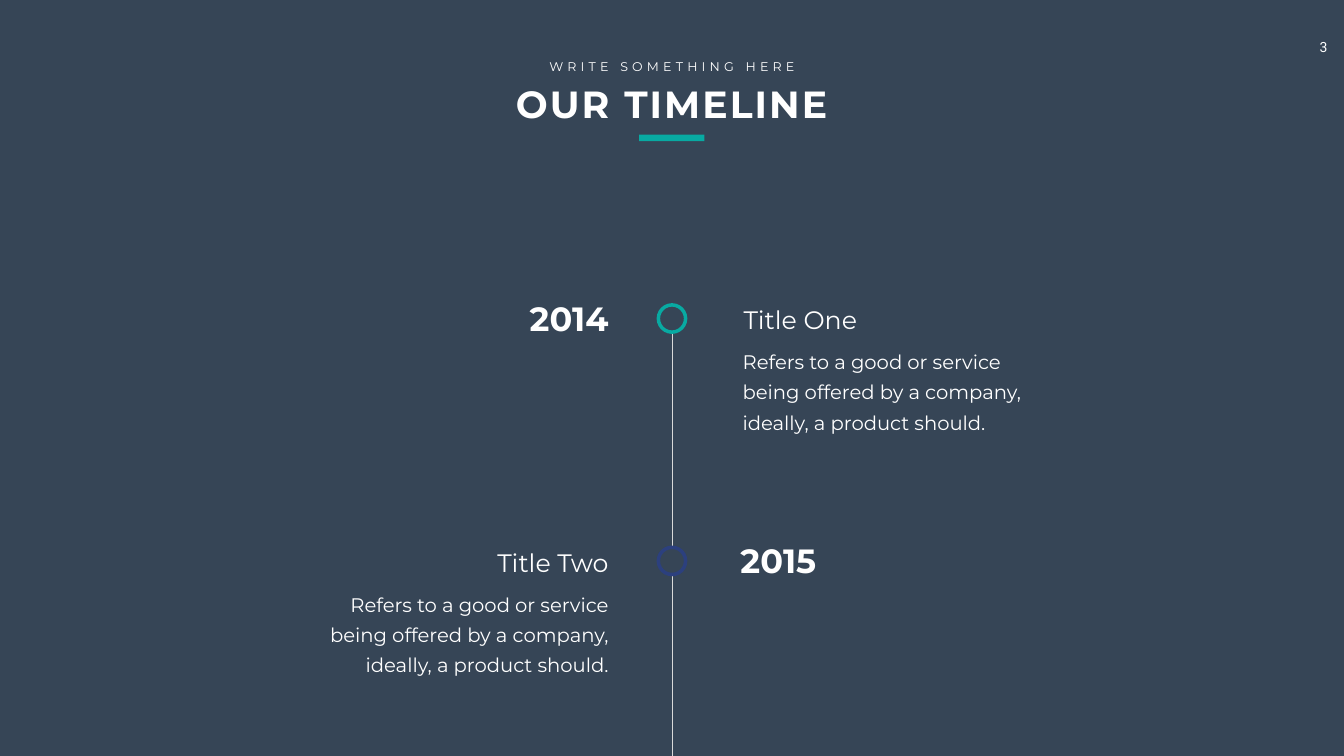
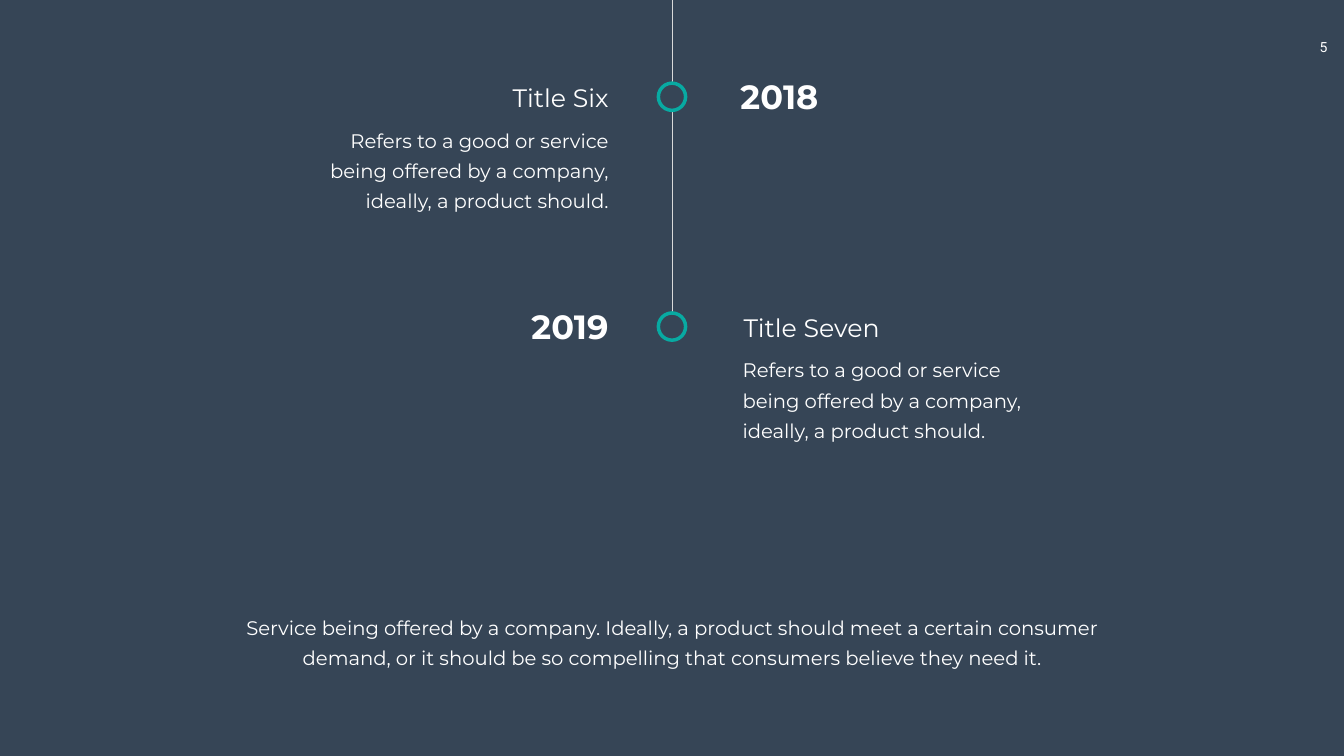
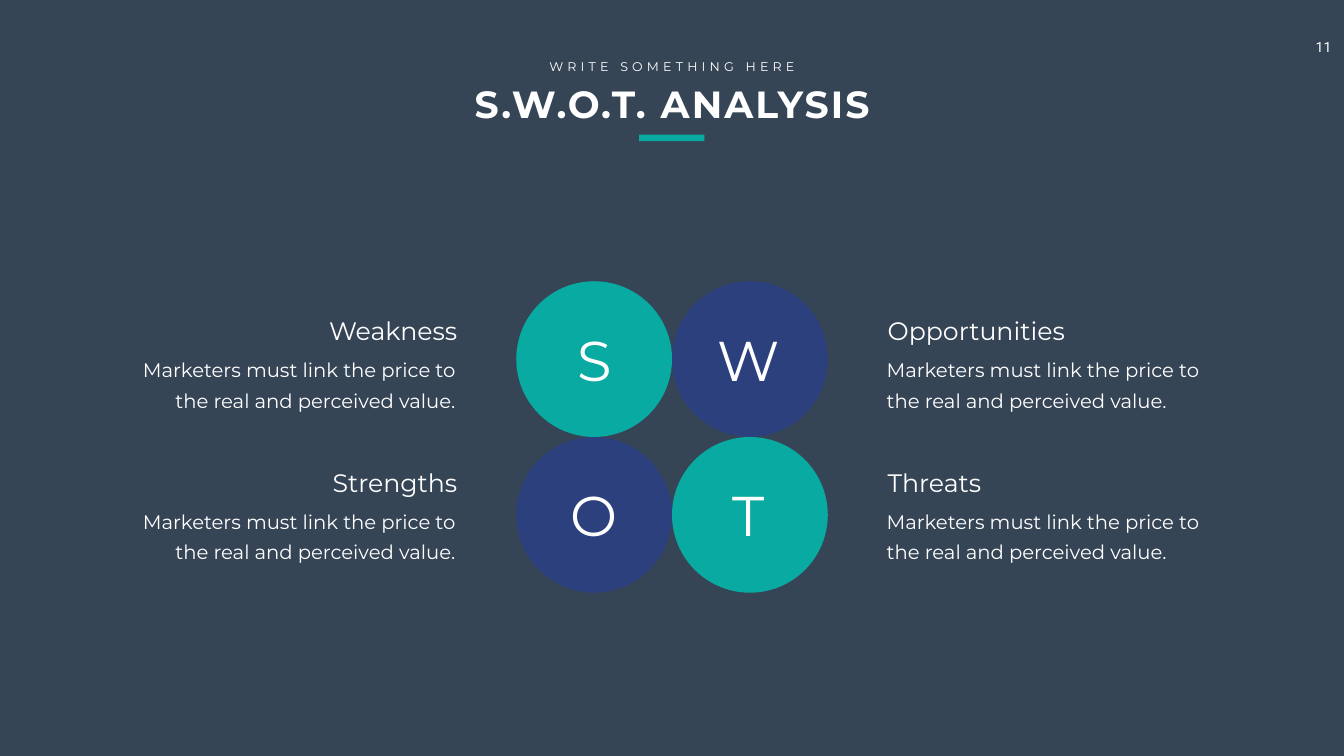
from lxml import etree
from pptx import Presentation
from pptx.dml.color import RGBColor
from pptx.enum.shapes import MSO_CONNECTOR, MSO_SHAPE
from pptx.enum.text import MSO_ANCHOR, MSO_AUTO_SIZE, PP_ALIGN
from pptx.oxml.ns import qn
from pptx.util import Pt

SCALE = 9144  # EMU per px, 100 px to the inch
SLATE = RGBColor(0x36, 0x45, 0x56)
WHITE = RGBColor(0xFF, 0xFF, 0xFF)
TEAL = RGBColor(0x08, 0xAA, 0xA2)
NAVY = RGBColor(0x2C, 0x40, 0x7E)
PALE_GREY = RGBColor(0xD9, 0xD9, 0xD9)
LEFT, CENTER, RIGHT = PP_ALIGN.LEFT, PP_ALIGN.CENTER, PP_ALIGN.RIGHT
TOP = MSO_ANCHOR.TOP
GROW = MSO_AUTO_SIZE.SHAPE_TO_FIT_TEXT
OVAL, RECTANGLE = MSO_SHAPE.OVAL, MSO_SHAPE.RECTANGLE
STRAIGHT = MSO_CONNECTOR.STRAIGHT


def px(*lengths):
    return [length * SCALE for length in lengths]


def write(slide, text, place, size, align=LEFT, bold=False, font="Montserrat",
          tracking=0, leading=None, inset=(10, 5), wrap=True, holder=None):
    """Write one paragraph at place, in a new text box or in a placeholder."""
    box = holder or slide.shapes.add_textbox(*px(*place))
    box.left, box.top, box.width, box.height = px(*place)
    frame = box.text_frame
    frame.word_wrap = wrap
    frame.auto_size = GROW
    frame.vertical_anchor = TOP
    frame.margin_left = frame.margin_right = inset[0] * SCALE
    frame.margin_top = frame.margin_bottom = inset[1] * SCALE
    paragraph = frame.paragraphs[0]
    paragraph.alignment = align
    if leading:
        paragraph.line_spacing = Pt(leading)
    run = paragraph.add_run()
    run.text = text
    run.font.name = font
    run.font.size = Pt(size)
    run.font.bold = bold
    run.font.color.rgb = WHITE
    if tracking:
        run._r.get_or_add_rPr().set("spc", str(tracking * 100))


deck = Presentation()
deck.slide_width, deck.slide_height = px(2666, 1500)
background = deck.slide_master.background.fill
background.solid()
background.fore_color.rgb = SLATE
title_only, blank = deck.slide_layouts[5], deck.slide_layouts[6]

# Slides with page number, title and overline
slides = []
marks = []  # slide, outline, place, fill, line colour
for number, heading, heading_left, heading_width in [
    ("3", "OUR TIMELINE", 961, 743),
    ("5", None, 0, 0),
    ("11", "S.W.O.T. ANALYSIS", 852, 963),
]:
    slide = deck.slides.add_slide(title_only if heading else blank)
    slides.append(slide)
    write(slide, number, (2580, 67, 91, 54), 20, align=CENTER, font="Roboto",
          inset=(20, 10), wrap=False)
    if heading:
        write(slide, heading, (heading_left, 155, heading_width, 101), 54,
              align=CENTER, bold=True, tracking=3, holder=slide.shapes.title)
        write(slide, "WRITE SOMETHING HERE", (1074, 112, 518, 40), 18,
              align=CENTER, tracking=6, wrap=False)
        marks.append((slide, RECTANGLE, (1268, 267, 129, 13), TEAL, None))
timeline_start, timeline_end, swot = slides

# Vertical timelines
for slide, start, end in [(timeline_start, 605, 1500), (timeline_end, 0, 652)]:
    timeline = slide.shapes.add_connector(STRAIGHT, *px(1333, start, 1333, end))
    timeline.line.color.rgb = PALE_GREY
    timeline.line.width = Pt(0.5)
    etree.SubElement(timeline._element.spPr, qn("a:effectLst"))

# Timeline events: ring top, year, title, side of the story, ring colour
events = [
    (timeline_start, 605, "2014", "Title One", RIGHT, TEAL),
    (timeline_start, 1086, "2015", "Title Two", LEFT, NAVY),
    (timeline_end, 165, "2018", "Title Six", LEFT, TEAL),
    (timeline_end, 621, "2019", "Title Seven", RIGHT, TEAL),
]
for slide, ring_top, year, title, side, colour in events:
    marks.append((slide, OVAL, (1306, ring_top, 54, 54), SLATE, colour))
    if side == RIGHT:
        year_left, title_left, story_left = 942, 1465, 1449
        year_align, story_align = RIGHT, LEFT
    else:
        year_left, title_left, story_left = 1459, 736, 582
        year_align, story_align = LEFT, RIGHT
    write(slide, year, (year_left, ring_top - 19, 275, 91), 48,
          align=year_align, bold=True)
    write(slide, title, (title_left, ring_top - 6, 481, 71), 36, align=story_align)
    write(slide, "Refers to a good or service being offered by a company, "
          "ideally, a product should.", (story_left, ring_top + 65, 649, 200), 28,
          align=story_align, leading=43, inset=(24, 12))

# Closing statement
write(timeline_end, "Service being offered by a company. Ideally, a product should "
      "meet a certain consumer demand, or it should be so compelling that consumers "
      "believe they need it.", (421, 1196, 1824, 139), 28, align=CENTER, leading=43,
      inset=(24, 12))

# SWOT circles, two by two
DIAMETER = 309
for row in range(2):
    for column in range(2):
        place = (1024 + column * DIAMETER, 558 + row * DIAMETER, DIAMETER, DIAMETER)
        marks.append((swot, OVAL, place, TEAL if row == column else NAVY, None))

# Accent bars, timeline rings and SWOT circles
for slide, outline, place, fill, line in marks:
    mark = slide.shapes.add_shape(outline, *px(*place))
    mark.shadow.inherit = False
    mark.fill.solid()
    mark.fill.fore_color.rgb = fill
    if line is None:
        mark.line.fill.background()
    else:
        mark.line.color.rgb = line
        mark.line.width = Pt(5)

# SWOT letters
for letter, left, top, width in [
    ("S", 1086, 640, 186), ("W", 1327, 640, 315),
    ("O", 1053, 949, 251), ("T", 1385, 949, 199),
]:
    write(swot, letter, (left, top, width, 145), 80, align=CENTER)

# SWOT topics: left and width of the topic, then tops of topic and advice
for topic, left, width, topic_top, advice_top, align in [
    ("Weakness", 621, 296, 620, 693, RIGHT),
    ("Strengths", 635, 282, 923, 994, RIGHT),
    ("Opportunities", 1751, 390, 620, 693, LEFT),
    ("Threats", 1751, 220, 923, 994, LEFT),
]:
    write(swot, topic, (left, topic_top, width, 71), 36, align=align, wrap=False)
    advice_left = 205 if align == RIGHT else 1749
    write(swot, "Marketers must link the price to the real and perceived value.",
          (advice_left, advice_top, 708, 125), 28, align=align, leading=43)

deck.save("out.pptx")
